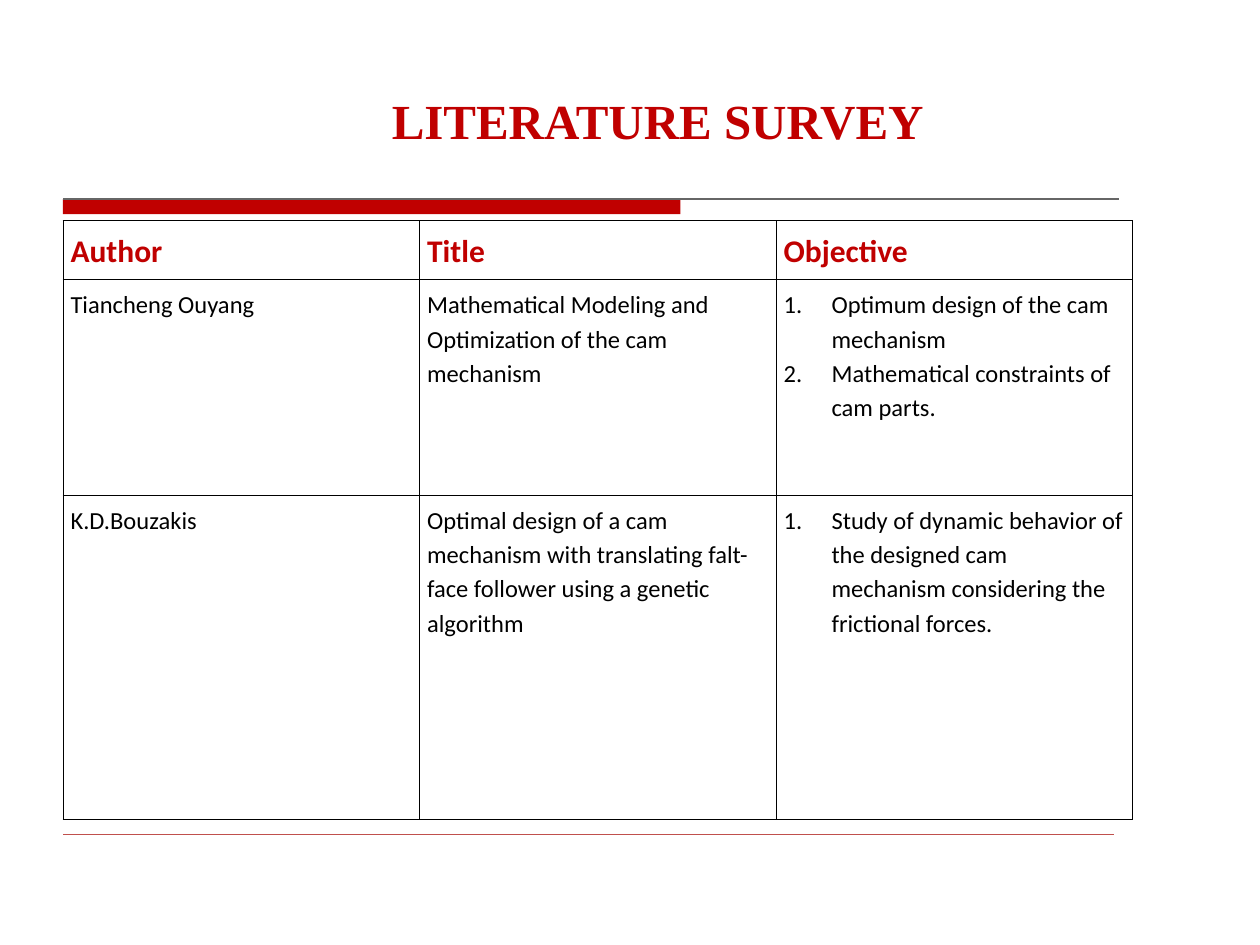
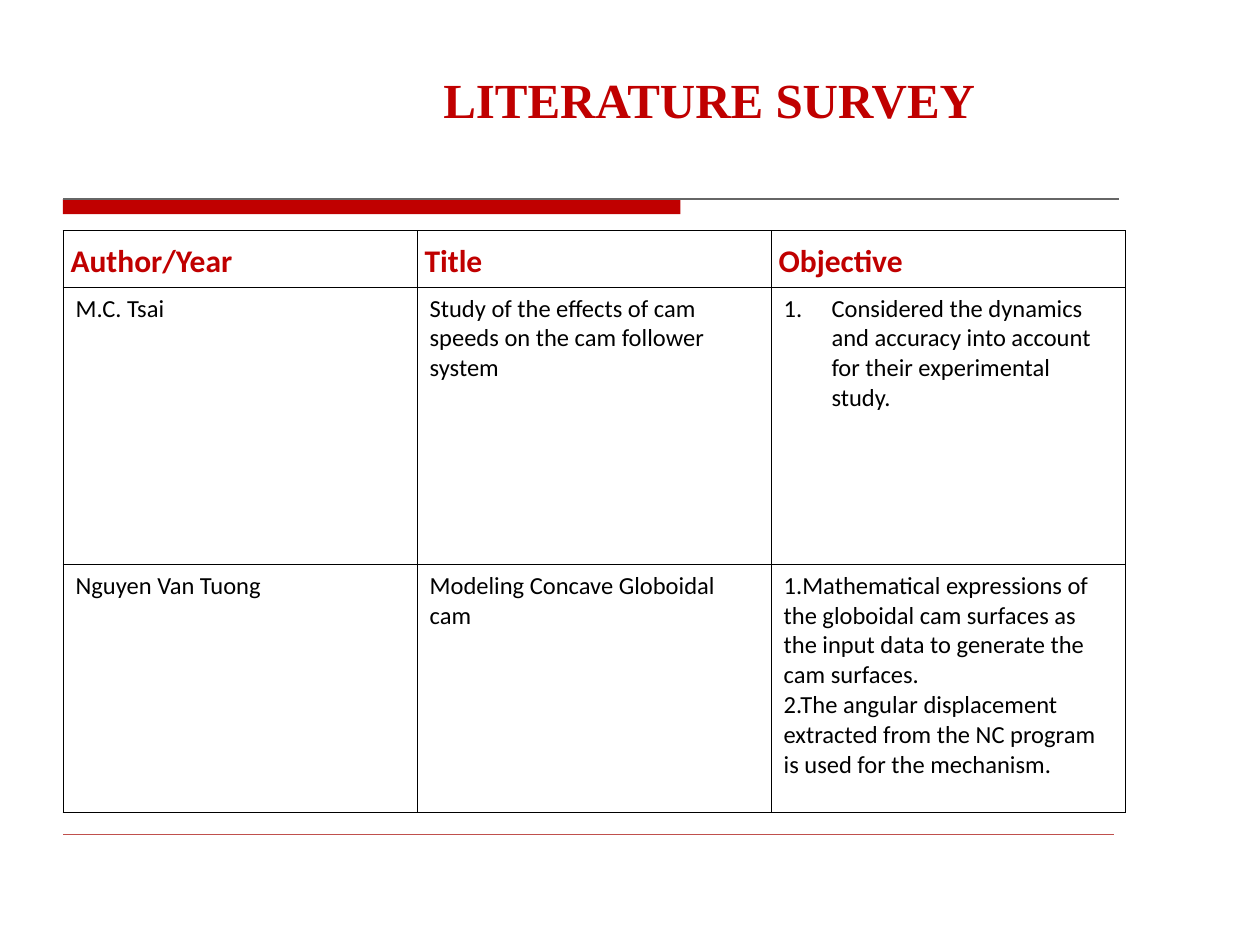
from dataclasses import dataclass

from lxml import etree
from pptx import Presentation
from pptx.dml.color import RGBColor
from pptx.enum.shapes import MSO_CONNECTOR, MSO_SHAPE
from pptx.oxml.ns import qn
from pptx.util import Inches, Pt

STRAIGHT = MSO_CONNECTOR.STRAIGHT
RECTANGLE = MSO_SHAPE.RECTANGLE

CRIMSON = RGBColor(0xC0, 0x00, 0x00)
ROSE = RGBColor(0xC0, 0x50, 0x4D)
GRAY = RGBColor(0x66, 0x66, 0x66)
BLACK = RGBColor(0x00, 0x00, 0x00)

TITLE_FORMAT = {"name": "Times New Roman", "size": Pt(28), "bold": True}
HEADER_FORMAT = {"name": "Calibri", "size": Pt(18), "bold": True}
BODY_FORMAT = {"name": "Calibri", "size": Pt(14), "bold": False}

LEFT_EDGE = 0.5
BAND_TOP = 1.58
NUMBER_INDENT = Inches(0.38)
BORDER_WIDTH = Pt(0.45)
BORDER_SIDES = ("a:lnL", "a:lnR", "a:lnT", "a:lnB")


@dataclass(frozen=True)
class Rule:
    y: float
    right: float
    color: RGBColor
    weight: float


@dataclass(frozen=True)
class Title:
    left: float
    top: float
    width: float
    height: float
    indent: float


@dataclass(frozen=True)
class Study:
    author: str
    title: str
    objectives: tuple[str, ...]
    numbered: bool = True


@dataclass(frozen=True)
class Survey:
    title: Title
    top: float
    column_width: float
    row_heights: tuple[float, ...]
    headers: tuple[str, ...]
    studies: tuple[Study, ...]
    body_spacing: float
    body_inset: float


RULES = (Rule(BAND_TOP, 8.88, GRAY, 0.75), Rule(6.62, 8.84, ROSE, 0.25))

SURVEYS = (
    Survey(
        Title(2.01, 0.67, 5.46, 0.57, 1.1),
        1.75, 2.83, (0.47, 1.71, 2.57),
        ("Author", "Title", "Objective"),
        (
            Study("Tiancheng Ouyang",
                  "Mathematical Modeling and Optimization of the cam mechanism",
                  ("Optimum design of the cam mechanism",
                   "Mathematical constraints of cam parts.")),
            Study("K.D.Bouzakis",
                  "Optimal design of a cam mechanism with translating "
                  "falt-face follower using a genetic algorithm",
                  ("Study of dynamic behavior of the designed cam mechanism "
                   "considering the frictional forces.",)),
        ),
        1.15, 0.06,
    ),
    Survey(
        Title(3.42, 0.5, 4.46, 1.04, 0.1),
        1.83, 2.81, (0.41, 2.2, 1.97),
        ("Author/Year", "Title", "Objective"),
        (
            Study("M.C. Tsai",
                  "Study of the effects of cam speeds on the cam follower system",
                  ("Considered the dynamics and accuracy into account for "
                   "their experimental study.",)),
            Study("Nguyen Van Tuong",
                  "Modeling Concave Globoidal cam",
                  ("1.Mathematical expressions of the globoidal cam surfaces as "
                   "the input data to generate the cam surfaces.",
                   "2.The angular displacement extracted from the NC program "
                   "is used for the mechanism."),
                  numbered=False),
        ),
        1.0, 0.1,
    ),
)


def format_font(font, values: dict, color: RGBColor) -> None:
    for attribute, value in values.items():
        setattr(font, attribute, value)
    font.color.rgb = color


def add_color(parent, color: RGBColor) -> None:
    solid = etree.SubElement(parent, qn("a:solidFill"))
    etree.SubElement(solid, qn("a:srgbClr"), val=str(color))


def draw_rule(slide, rule: Rule) -> None:
    line = slide.shapes.add_connector(
        STRAIGHT, Inches(LEFT_EDGE), Inches(rule.y), Inches(rule.right), Inches(rule.y))
    line.line.color.rgb = rule.color
    line.line.width = Pt(rule.weight)
    etree.SubElement(line._element.spPr, qn("a:effectLst"))


def draw_frame(slide) -> None:
    band = slide.shapes.add_shape(
        RECTANGLE, Inches(LEFT_EDGE), Inches(BAND_TOP), Inches(4.9), Inches(0.12))
    band.shadow.inherit = False
    band.fill.solid()
    band.fill.fore_color.rgb = CRIMSON
    band.line.fill.background()
    for rule in RULES:
        draw_rule(slide, rule)


def draw_title(slide, title: Title) -> None:
    box = slide.shapes.add_textbox(
        Inches(title.left), Inches(title.top), Inches(title.width), Inches(title.height))
    frame = box.text_frame
    frame.word_wrap = False
    frame.margin_left = Inches(title.indent)
    heading = frame.paragraphs[0]
    heading.text = "LITERATURE SURVEY"
    format_font(heading.font, TITLE_FORMAT, CRIMSON)


def number_paragraph(paragraph) -> None:
    properties = paragraph._p.get_or_add_pPr()
    properties.set("marL", str(NUMBER_INDENT))
    properties.set("indent", str(-NUMBER_INDENT))
    bullet_color = etree.SubElement(properties, qn("a:buClr"))
    etree.SubElement(bullet_color, qn("a:srgbClr"), val=str(BLACK))
    etree.SubElement(properties, qn("a:buFont"), typeface="+mj-lt")
    etree.SubElement(properties, qn("a:buAutoNum"), type="arabicPeriod")


def outline_cell(cell) -> None:
    properties = cell._tc.get_or_add_tcPr()
    for side in BORDER_SIDES:
        border = etree.SubElement(properties, qn(side), w=str(BORDER_WIDTH))
        add_color(border, BLACK)
    cell.fill.background()


def fill_cell(cell, lines: tuple[str, ...], values: dict, color: RGBColor,
              spacing: float, inset: float, numbered: bool = False) -> None:
    outline_cell(cell)
    cell.margin_left = cell.margin_right = Inches(inset)
    cell.margin_top = cell.margin_bottom = Inches(0.05)
    cell.text = "\n".join(lines)
    for paragraph in cell.text_frame.paragraphs:
        if numbered:
            number_paragraph(paragraph)
        paragraph.line_spacing = spacing
        format_font(paragraph.font, values, color)


def draw_studies(slide, survey: Survey) -> None:
    column_count = len(survey.headers)
    table = slide.shapes.add_table(
        len(survey.row_heights), column_count, Inches(LEFT_EDGE), Inches(survey.top),
        Inches(survey.column_width * column_count), Inches(sum(survey.row_heights))).table
    table.first_row = table.horz_banding = False
    for column in table.columns:
        column.width = Inches(survey.column_width)
    for row, height in zip(table.rows, survey.row_heights):
        row.height = Inches(height)
    for column, header in enumerate(survey.headers):
        fill_cell(table.cell(0, column), (header,), HEADER_FORMAT, CRIMSON, 1.15, 0.06)
    for row, study in enumerate(survey.studies, start=1):
        entries = ((study.author,), (study.title,), study.objectives)
        for column, lines in enumerate(entries):
            numbered = study.numbered and column == column_count - 1
            fill_cell(table.cell(row, column), lines, BODY_FORMAT, BLACK,
                      survey.body_spacing, survey.body_inset, numbered)


def main() -> None:
    presentation = Presentation()
    presentation.slide_width = Inches(10)
    presentation.slide_height = Inches(7.5)
    blank = presentation.slide_layouts[6]
    for survey in SURVEYS:
        slide = presentation.slides.add_slide(blank)
        draw_frame(slide)
        draw_studies(slide, survey)
        draw_title(slide, survey.title)
    presentation.save("out.pptx")


if __name__ == "__main__":
    main()
